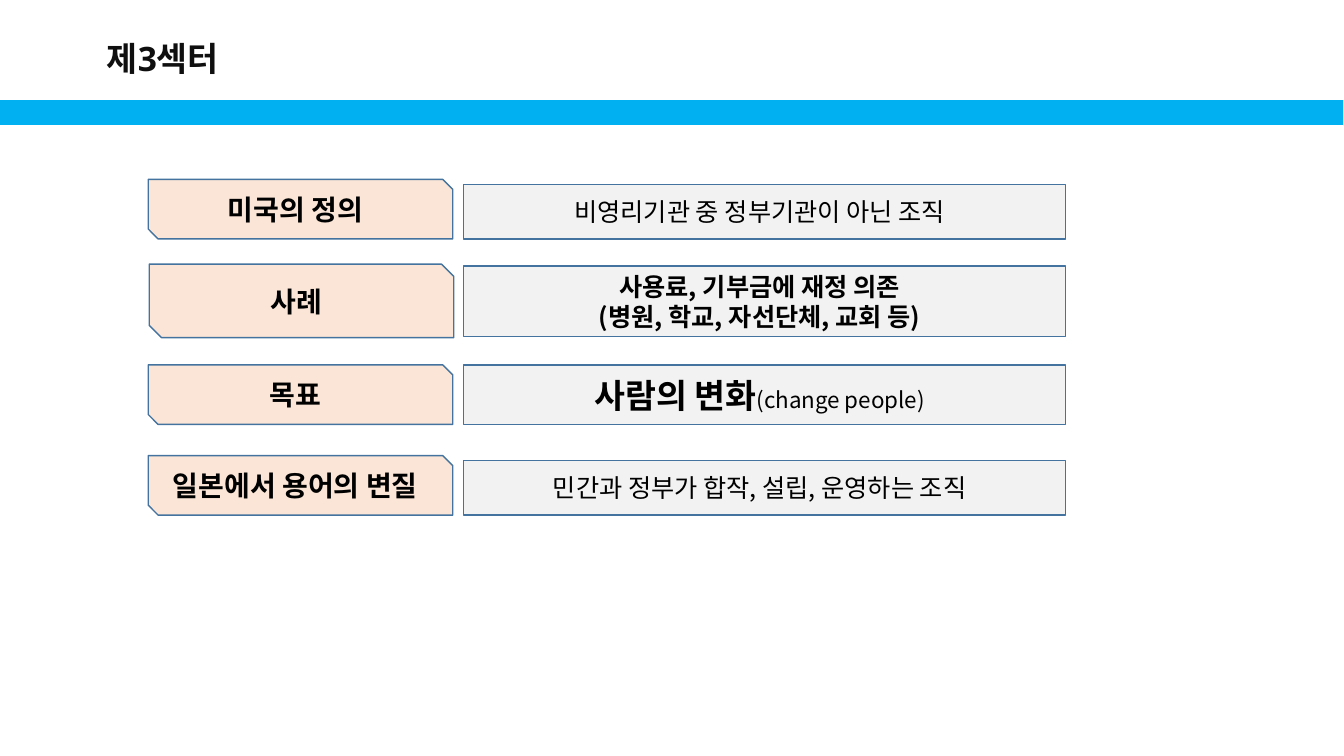
from pptx import Presentation
from pptx.dml.color import RGBColor
from pptx.enum.shapes import MSO_SHAPE as Shape
from pptx.enum.text import MSO_ANCHOR as Anchor, PP_ALIGN as Align
from pptx.oxml.ns import qn
from pptx.util import Inches, Pt
from lxml import etree

BLUE = RGBColor(0x00, 0xB0, 0xF0)
PEACH = RGBColor(0xFB, 0xE5, 0xD6)
GRAY = RGBColor(0xF2, 0xF2, 0xF2)
OUTLINE = RGBColor(0x43, 0x73, 0x9E)
INK = RGBColor(0x0F, 0x0F, 0x0F)
BLACK = RGBColor(0x00, 0x00, 0x00)
WHITE = RGBColor(0xFF, 0xFF, 0xFF)
KOREAN = "Noto Sans CJK KR"

# label, (left, top, height) of label, (top, height) of text box,
# paragraphs as lists of (text, size, bold)
ROWS = [
    ("미국의 정의", (1.47, 1.78, 0.59), (1.83, 0.54),
     [[("비영리기관 중 정부기관이 아닌 조직", 18, False)]]),
    ("사례", (1.48, 2.62, 0.73), (2.64, 0.7),
     [[("사용료, 기부금에 재정 의존", 18, True)],
      [("(병원, 학교, 자선단체, 교회 등)", 18, True)]]),
    ("목표", (1.47, 3.62, 0.59), (3.62, 0.59),
     [[("사람의 변화", 24, True), ("(change people)", 16, False)]]),
    ("일본에서 용어의 변질", (1.47, 4.52, 0.59), (4.57, 0.54),
     [[("민간과 정부가 합작, 설립, 운영하는 조직", 18, False)]]),
]


class SlideBuilder:
    def __init__(self, prs):
        self.s = prs.slides.add_slide(prs.slide_layouts[5])

    def style_run(self, r, size, bold, color=BLACK, latin=KOREAN):
        r.font.size, r.font.bold, r.font.name = Pt(size), bold, latin
        r.font.color.rgb = color
        etree.SubElement(r.font._element, qn("a:ea")).set("typeface", KOREAN)

    def title(self, text, left, top, width, height):
        sp = self.s.shapes.title
        sp.left, sp.top = Inches(left), Inches(top)
        sp.width, sp.height = Inches(width), Inches(height)
        tf = sp.text_frame
        tf.text = text
        tf.vertical_anchor = Anchor.TOP
        p = tf.paragraphs[0]
        p.alignment = Align.LEFT
        self.style_run(p.runs[0], 24, True, INK, "Open Sans")

    def box(self, kind, left, top, width, height, fill, line=OUTLINE, weight=1):
        sp = self.s.shapes.add_shape(
            kind, Inches(left), Inches(top), Inches(width), Inches(height))
        sp.shadow.inherit = False
        sp.fill.solid()
        sp.fill.fore_color.rgb = fill
        sp.line.color.rgb = line
        sp.line.width = Pt(weight)
        return sp

    def fill_text(self, sp, paragraphs):
        tf = sp.text_frame
        tf.word_wrap = True
        tf.vertical_anchor = Anchor.MIDDLE
        tf.margin_right = Inches(0.2)
        for i, parts in enumerate(paragraphs):
            p = tf.add_paragraph() if i else tf.paragraphs[0]
            p.alignment = Align.CENTER
            for text, size, bold in parts:
                r = p.add_run()
                r.text = text
                self.style_run(r, size, bold)


def main():
    prs = Presentation()
    prs.slide_width, prs.slide_height = Inches(13.33), Inches(7.5)
    slide = SlideBuilder(prs)
    slide.box(Shape.RECTANGLE, 0, 0.99, 13.33, 0.26, BLUE, WHITE, 0.75)
    slide.title("제3섹터", 0.96, 0.33, 1.85, 0.5)
    for label, (left, top, height), (text_top, text_height), paragraphs in ROWS:
        tag = slide.box(Shape.SNIP_2_DIAG_RECTANGLE, left, top, 3.02, height, PEACH)
        slide.fill_text(tag, [[(label, 20, True)]])
        body = slide.box(Shape.RECTANGLE, 4.6, text_top, 5.97, text_height, GRAY)
        slide.fill_text(body, paragraphs)
    prs.save("out.pptx")


if __name__ == "__main__":
    main()
